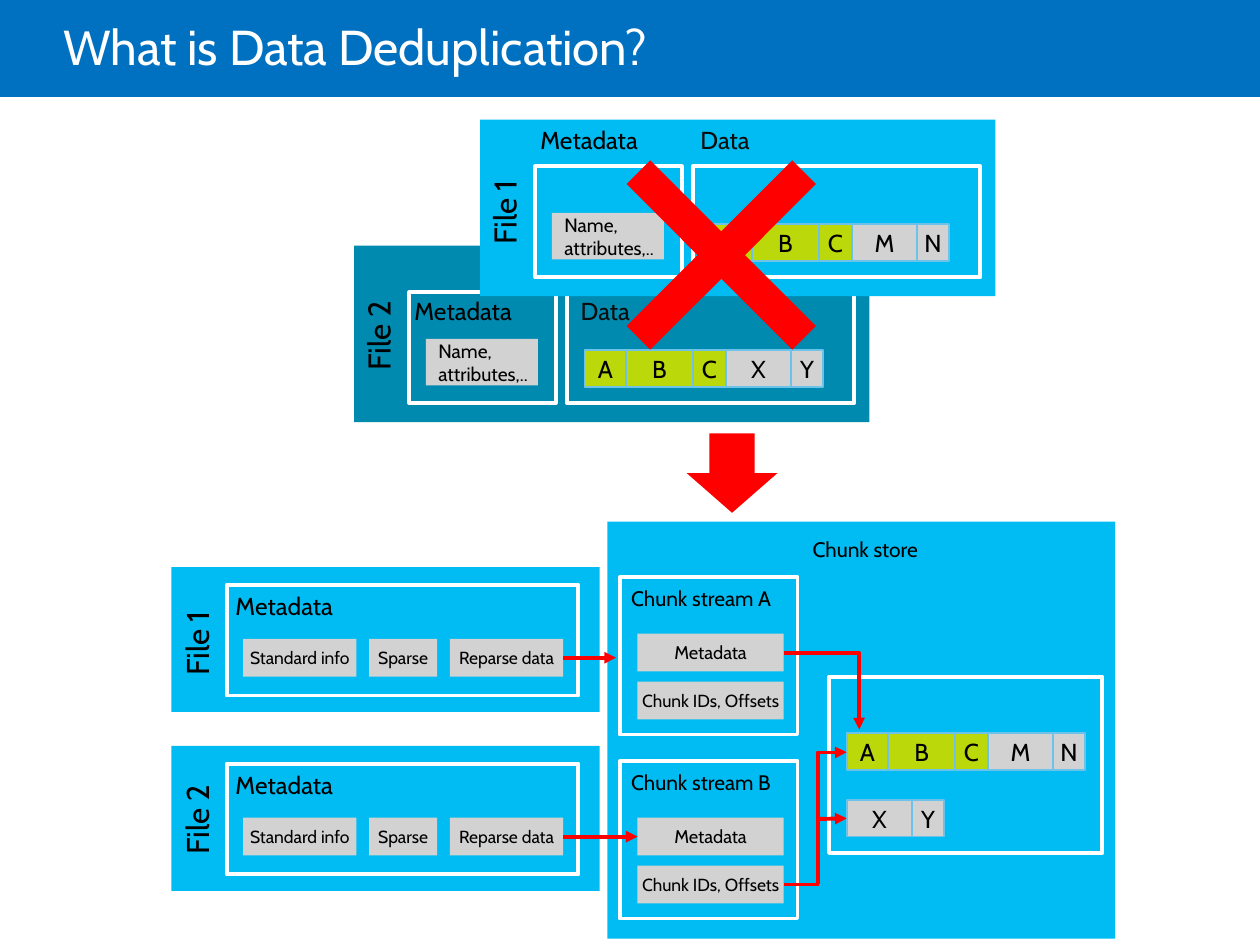
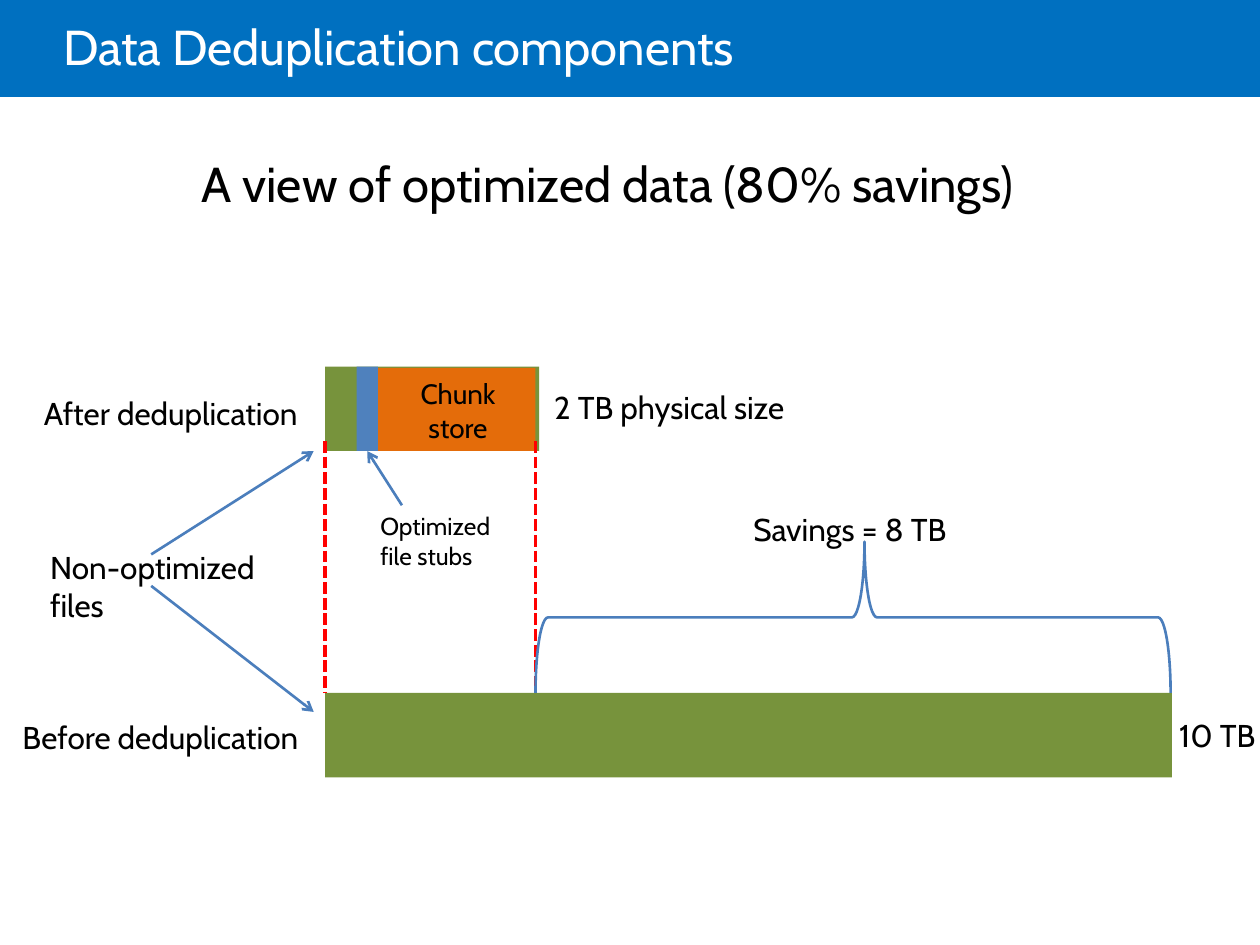
import lxml.etree as etree
import pptx
import pptx.dml.color
import pptx.enum.dml
import pptx.enum.shapes
import pptx.enum.text
import pptx.oxml.ns
import pptx.util

Inches = pptx.util.Inches
Pt = pptx.util.Pt
qn = pptx.oxml.ns.qn
SHAPE = pptx.enum.shapes.MSO_SHAPE
LINK = pptx.enum.shapes.MSO_CONNECTOR
ALIGN = pptx.enum.text.PP_ALIGN
ANCHOR = pptx.enum.text.MSO_ANCHOR
FIT = pptx.enum.text.MSO_AUTO_SIZE
DASH = pptx.enum.dml.MSO_LINE.SQUARE_DOT

FONT = "Cabin"
BAND, CYAN, TEAL = "0070C0", "00BCF2", "008AB0"
GRAY, LIME, EDGE = "D2D2D2", "BAD80A", "6DC2E9"
RED, GREEN, BLUE, ORANGE, INK = "FF0000", "77933C", "4B7EBC", "E46C0A", "4F81BD"
BLACK, WHITE = "000000", "FFFFFF"

# Width of each data chunk
CHUNKS = {"A": 0.33, "B": 0.53, "C": 0.26, "M": 0.52, "N": 0.25, "X": 0.52, "Y": 0.25}
SHARED = "ABC"


def rgb(code):
    return pptx.dml.color.RGBColor.from_string(code)


def write(frame, text, size=14, color=BLACK, align=ALIGN.LEFT, space=None):
    """Fill a text frame, one paragraph per line of text."""
    for i, part in enumerate(text.split("\n")):
        para = frame.add_paragraph() if i else frame.paragraphs[0]
        para.alignment = align
        para.line_spacing = space
        run = para.add_run()
        run.text = part
        run.font.name = FONT
        run.font.size = Pt(size)
        run.font.color.rgb = rgb(color)


class Deck:
    def __init__(self):
        self.show = pptx.Presentation()
        self.show.slide_width, self.show.slide_height = Inches(10), Inches(7.5)
        self.slide = None

    def page(self, text):
        """Start a slide with the title band."""
        self.slide = self.show.slides.add_slide(self.show.slide_layouts[5])
        title = self.slide.shapes.title
        title.left, title.top = Inches(0.5), Inches(0)
        title.width, title.height = Inches(8.5), Inches(0.81)
        frame = title.text_frame
        frame.margin_left = 0
        frame.vertical_anchor = ANCHOR.MIDDLE
        frame.auto_size = FIT.NONE
        write(frame, text, size=28, color=WHITE, space=0.85)
        band = self.box(0, 0, 10, 0.77, fill=BAND)
        title.element.addprevious(band.element)

    def box(self, x, y, w, h, fill=None, line=None, weight=1.0, kind=SHAPE.RECTANGLE,
            text="", **style):
        shape = self.slide.shapes.add_shape(kind, Inches(x), Inches(y), Inches(w), Inches(h))
        shape.shadow.inherit = False
        if fill:
            shape.fill.solid()
            shape.fill.fore_color.rgb = rgb(fill)
        else:
            shape.fill.background()
        if line:
            shape.line.color.rgb = rgb(line)
            shape.line.width = Pt(weight)
        else:
            shape.line.fill.background()
        if text:
            frame = shape.text_frame
            frame.word_wrap = False
            frame.vertical_anchor = ANCHOR.MIDDLE
            frame.margin_left = frame.margin_right = 0
            frame.margin_top = frame.margin_bottom = 0
            write(frame, text, **{"align": ALIGN.CENTER, **style})
        return shape

    def frame(self, x, y, w, h):
        return self.box(x, y, w, h, line=WHITE, weight=2.25)

    def label(self, x, y, w, h, text, turn=0, **style):
        shape = self.slide.shapes.add_textbox(Inches(x), Inches(y), Inches(w), Inches(h))
        shape.rotation = turn
        shape.text_frame.word_wrap = False
        shape.text_frame.auto_size = FIT.SHAPE_TO_FIT_TEXT
        write(shape.text_frame, text, **style)

    def line(self, x1, y1, x2, y2, color=RED, weight=2.25, head=None, dash=None,
             start=None, end=None, kind=LINK.STRAIGHT):
        """Draw a connector; start and end are (shape, side) pairs to join."""
        link = self.slide.shapes.add_connector(
            kind, Inches(x1), Inches(y1), Inches(x2), Inches(y2))
        if start:
            link.begin_connect(*start)
        if end:
            link.end_connect(*end)
        link.line.color.rgb = rgb(color)
        link.line.width = Pt(weight)
        if dash:
            link.line.dash_style = dash
        props = link.element.spPr
        if head:
            etree.SubElement(props.find(qn("a:ln")), qn("a:tailEnd"), type=head)
        etree.SubElement(props, qn("a:effectLst"))
        return link

    def elbow(self, x1, y1, x2, y2, rise=False):
        """Draw a one-corner arrow, across first or, with rise, upright first."""
        if rise:
            midx, midy = (x1 + x2) / 2, (y1 + y2) / 2
            dx, dy = x1 - midx, y1 - midy
            x1, y1, x2, y2 = midx + dy, midy - dx, midx - dy, midy + dx
        link = self.line(x1, y1, x2, y2, head="triangle", kind=LINK.ELBOW)
        props = link.element.spPr
        if rise:
            props.find(qn("a:xfrm")).set("rot", "5400000")
        geom = props.find(qn("a:prstGeom"))
        guides = geom.find(qn("a:avLst"))
        if guides is None:
            guides = etree.SubElement(geom, qn("a:avLst"))
        etree.SubElement(guides, qn("a:gd"), name="adj1", fmla="val 99800")

    def chunks(self, x, y, names):
        """Draw a row of chunks and return the first one."""
        cells = []
        for name in names:
            fill = LIME if name in SHARED else GRAY
            cells.append(self.box(x, y, CHUNKS[name], 0.29, fill=fill, line=EDGE, text=name))
            x += CHUNKS[name]
        return cells[0]

    def source(self, x, y, name, fill, names, top, data):
        """Draw a file before its data is shared; top and data place the headings."""
        self.box(x, y, 4.09, 1.4, fill=fill)
        self.frame(x + 0.44, y + 0.37, 1.16, 0.88)
        self.frame(x + 1.69, y + 0.37, 2.28, 0.88)
        self.box(x + 0.57, y + 0.74, 0.89, 0.37, fill=GRAY)
        self.label(x + 0.57, y + 0.69, 0.95, 0.47, "Name,\nattributes,..", size=11)
        self.chunks(x + 1.83, y + 0.83, names)
        self.label(x - 0.2, y + 0.5, 0.78, 0.4, name, turn=270, size=18)
        self.label(x + 0.38, y + top, 1.03, 0.34, "Metadata")
        self.label(x + data, y + top, 0.61, 0.34, "Data", color="0D0D0D")

    def stub(self, y, name):
        """Draw a file after its data is shared and return its reparse box."""
        self.box(1.36, y, 3.4, 1.15, fill=CYAN)
        self.frame(1.8, y + 0.14, 2.79, 0.88)
        self.label(1.17, y + 0.37, 0.78, 0.4, name, turn=270, size=18)
        self.label(1.77, y + 0.14, 1.03, 0.34, "Metadata")
        parts = ((1.93, 0.9, "Standard info"), (2.93, 0.54, "Sparse"),
                 (3.57, 0.9, "Reparse data"))
        return [self.box(x, y + 0.57, w, 0.3, fill=GRAY, text=text, size=10)
                for x, w, text in parts][-1]

    def stream(self, y, name):
        """Draw a chunk stream and return its two boxes."""
        self.frame(4.92, y, 1.41, 1.25)
        self.label(4.91, y + 0.02, 1.38, 0.3, name, size=12)
        parts = ((0.45, "Metadata", 10.5), (0.83, "Chunk IDs, Offsets", 10))
        return [self.box(5.06, y + dy, 1.16, 0.3, fill=GRAY, text=text, size=size)
                for dy, text, size in parts]


def what(deck):
    deck.page("What is Data Deduplication?")
    deck.source(2.81, 1.95, "File 2", TEAL, "ABCXY", top=0.35, data=1.7)
    deck.source(3.81, 0.95, "File 1", CYAN, "ABCMN", top=-0.01, data=1.65)
    deck.box(4.46, 0.76, 2.53, 2.53, fill=RED, kind=SHAPE.MATH_MULTIPLY).adjustments[0] = 0.105
    deck.box(5.45, 3.44, 0.72, 0.63, fill=RED, kind=SHAPE.DOWN_ARROW)

    first = deck.stub(4.5, "File 1")
    second = deck.stub(5.92, "File 2")
    deck.box(4.82, 4.14, 4.03, 3.31, fill=CYAN)
    deck.label(6.35, 4.21, 1.09, 0.3, "Chunk store", size=12)
    deck.stream(4.58, "Chunk stream A")
    meta, ids = deck.stream(6.04, "Chunk stream B")
    deck.frame(6.58, 5.37, 2.17, 1.4)
    deck.chunks(6.72, 5.82, "ABCMN")
    rest = deck.chunks(6.72, 6.35, "XY")

    deck.line(4.47, 5.22, 4.89, 5.22, head="triangle", start=(first, 3))
    deck.line(4.47, 6.64, 5.06, 6.64, head="triangle", start=(second, 3), end=(meta, 1))
    deck.elbow(6.22, 5.18, 6.82, 5.79)
    deck.line(6.5, 7.02, 6.22, 7.02, end=(ids, 3))
    deck.elbow(6.49, 7.02, 6.72, 5.97, rise=True)
    deck.line(6.48, 6.5, 6.72, 6.5, head="triangle", end=(rest, 1))


def savings(deck):
    deck.page("Data Deduplication components")
    deck.label(1.5, 1.17, 6.97, 0.57, "A view of optimized data (80% savings)", size=28)
    deck.box(2.58, 2.91, 1.7, 0.67, fill=GREEN)
    deck.box(2.58, 5.5, 6.72, 0.67, fill=GREEN)
    stubs = deck.box(2.83, 2.91, 0.17, 0.67, fill=INK)
    deck.box(3, 2.92, 1.25, 0.66, fill=ORANGE)
    deck.label(3.19, 2.94, 0.89, 0.64, "Chunk\nstore", size=16, align=ALIGN.CENTER)
    for x in (2.58, 4.25):
        deck.line(x, 3.5, x, 5.5, dash=DASH)

    notes = (
        (0.25, 3.08, 2.35, 0.4, "After deduplication"),
        (0.08, 5.65, 2.51, 0.4, "Before deduplication"),
        (0.3, 4.3, 1.97, 0.71, "Non-optimized\nfiles"),
        (4.3, 3.03, 2.12, 0.4, "2 TB physical size"),
        (9.26, 5.63, 0.82, 0.4, "10 TB"),
        (5.88, 4, 1.91, 0.4, "Savings = 8 TB"),
    )
    for note in notes:
        deck.label(*note, size=18)
    deck.label(2.92, 4.01, 1.16, 0.57, "Optimized\nfile stubs")

    thin = {"color": BLUE, "weight": 1.5}
    deck.line(1.2, 4.4, 2.49, 3.58, head="arrow", **thin)
    deck.line(1.2, 4.65, 2.49, 5.65, head="arrow", **thin)
    deck.line(3.19, 4.01, 2.92, 3.58, head="arrow", end=(stubs, 2), **thin)
    brace = deck.box(6.17, 2.38, 1.2, 5.04, line=BLUE, weight=1.5, kind=SHAPE.LEFT_BRACE)
    brace.rotation = 90
    brace.adjustments[0], brace.adjustments[1] = 0.083, 0.482


def main():
    deck = Deck()
    what(deck)
    savings(deck)
    deck.show.save("out.pptx")


if __name__ == "__main__":
    main()
